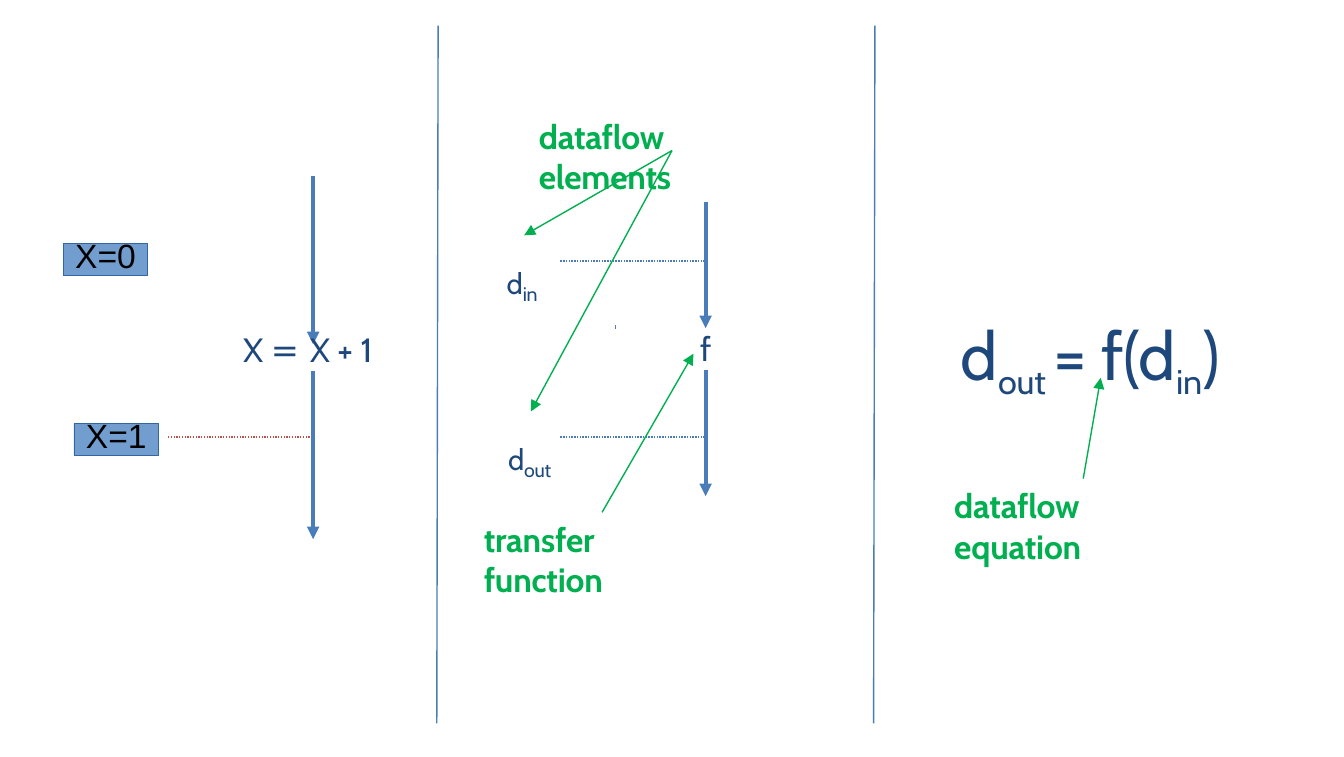
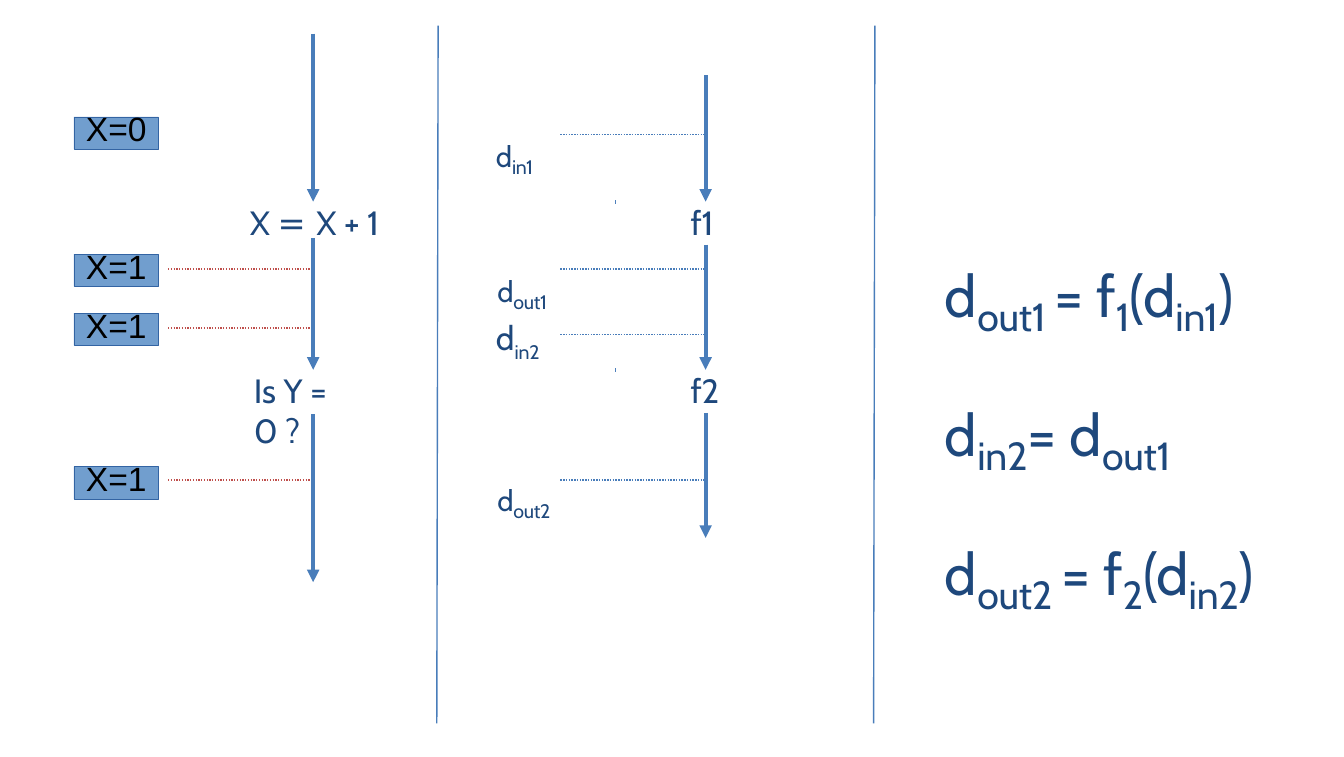
from itertools import cycle
from lxml.etree import SubElement
from pptx import Presentation
from pptx.dml.color import RGBColor
from pptx.enum.dml import MSO_LINE
from pptx.enum.shapes import MSO_CONNECTOR, MSO_SHAPE
from pptx.enum.text import MSO_ANCHOR, MSO_AUTO_SIZE, PP_ALIGN
from pptx.oxml.ns import qn
from pptx.util import Inches, Pt

NAVY = RGBColor(0x1E, 0x48, 0x7C)
BLUE = RGBColor(0x49, 0x7D, 0xBA)
TICK_BLUE = RGBColor(0x4E, 0x80, 0xBC)
GREEN = RGBColor(0x00, 0xAF, 0x4F)
RED = RGBColor(0xBF, 0x4F, 0x4C)
STATE_FILL = RGBColor(0x71, 0x9E, 0xCE)
STATE_LINE = RGBColor(0x33, 0x64, 0xA3)
BLACK = RGBColor(0, 0, 0)

CODE_X, FLOW_X = 2.33, 5.25
CODE_DOTS_X, FLOW_DOTS_X = 1.25, 4.17
TICK_X = 4.58
DIVIDERS = [6.5, 3.25]
STATE_SIZE = (0.63, 0.24)
LINE_HEIGHT = 0.33

LABEL = ((27, 14), (10.5, 0))
EQUATION = ((36, 0), (31.5, -24))
SYSTEM = ((54, 14), (21, 0))
PLAIN = ((18, 0),)
SUBSCRIPT = ((10.5, 0),)

INCREMENT = [("X ", "Cabin"), ("= ", "DejaVu Sans"), ("X + 1", "Cabin")]
INCREMENT_WIDTH = 1.05
TEST = [("Is Y = 0 ?", "Cabin")]

SLIDES = [
    {
        "code": [(1.8, 2.44, INCREMENT_WIDTH, INCREMENT)],
        "code_arrows": [(1.31, 2.56), (2.76, 4.01)],
        "code_dots": [3.25],
        "flow_arrows": [(1.5, 2.44), (2.75, 3.69)],
        "flow_dots": [1.94, 3.25],
        "ticks": [2.42],
        "formulas": [
            (5.2, 2.43, 0.11, 0.01, PLAIN, [["f"]]),
            (3.73, 1.86, 0.33, 0.04, LABEL, [["d", "in"]]),
            (3.74, 3.17, 0.42, 0.04, LABEL, [["d", "out"]]),
            (7.11, 2.32, 2.16, 0.04, EQUATION, [["d", "out ", "= f(d", "in", ")"]]),
        ],
        "notes": [
            (4, 0.85, 1.97, "dataflow elements"),
            (3.59, 3.85, 1.76, "transfer function"),
            (7.09, 3.6, 1.93, "dataflow equation"),
        ],
        "pointers": [
            (5, 1.12, 3.9, 1.75),
            (5, 1.12, 3.95, 3.06),
            (4.48, 3.81, 5.16, 2.63),
            (8.06, 3.56, 8.19, 2.81),
        ],
        "states": [(0.47, 1.81, "X=0"), (0.55, 3.15, "X=1")],
    },
    {
        "code": [(1.85, 1.49, INCREMENT_WIDTH, INCREMENT), (1.88, 2.74, 0.9, TEST)],
        "code_arrows": [(0.25, 1.5), (1.77, 2.75), (3.08, 4.33)],
        "code_dots": [2, 2.44, 3.57],
        "flow_arrows": [(0.56, 1.5), (1.82, 2.75), (3.07, 4)],
        "flow_dots": [1, 2, 2.49, 3.57],
        "ticks": [1.49, 2.74],
        "formulas": [
            (5.13, 1.49, 0.23, 0.01, PLAIN, [["f1"]]),
            (5.13, 2.74, 0.23, 0.01, PLAIN, [["f2"]]),
            (3.65, 0.91, 0.4, 0.04, LABEL, [["d", "in1"]]),
            (3.66, 1.92, 0.49, 0.04, LABEL, [["d", "out1"]]),
            (3.68, 2.35, 0.2, 0.01, PLAIN, [["d"]]),
            (3.82, 2.52, 0.25, 0.01, SUBSCRIPT, [["in2"]]),
            (3.66, 3.47, 0.49, 0.04, LABEL, [["d", "out2"]]),
            (6.99, 1.57, 2.6, 0.04, SYSTEM, [
                ["d", "out1 ", "= f", "1", "(d", "in1", ")"],
                ["d", "in2", "= d", "out1"],
                ["d", "out2 ", "= f", "2", "(d", "in2", ")"],
            ]),
        ],
        "notes": [],
        "pointers": [],
        "states": [(0.55, y, text) for y, text in
                   [(0.87, "X=0"), (1.89, "X=1"), (2.33, "X=1"), (3.47, "X=1")]],
    },
]


def add_line(slide, start, end, color, width, dotted=False, arrow=False):
    line = slide.shapes.add_connector(
        MSO_CONNECTOR.STRAIGHT, *(Inches(v) for v in (*start, *end)))
    line.line.color.rgb = color
    line.line.width = Pt(width)
    if dotted:
        line.line.dash_style = MSO_LINE.ROUND_DOT
    properties = line._element.spPr
    if arrow:
        SubElement(properties.find(qn("a:ln")), qn("a:tailEnd"), type="triangle")
    SubElement(properties, qn("a:effectLst"))


def set_frame(shape, left=0, top=0):
    frame = shape.text_frame
    frame.word_wrap = True
    frame.auto_size = MSO_AUTO_SIZE.SHAPE_TO_FIT_TEXT
    frame.vertical_anchor = MSO_ANCHOR.TOP
    frame.margin_left, frame.margin_top = Inches(left), Inches(top)
    frame.margin_right = frame.margin_bottom = 0
    return frame


def add_textbox(slide, x, y, width, height=LINE_HEIGHT, left=0.01):
    box = slide.shapes.add_textbox(Inches(x), Inches(y), Inches(width), Inches(height))
    return set_frame(box, left, 0.01)


def add_run(paragraph, text, color, size=18, font="Cabin", bold=False, baseline=0, tracking=0):
    run = paragraph.add_run()
    run.text = text
    run.font.name = font
    run.font.size = Pt(size)
    run.font.bold = bold
    run.font.color.rgb = color
    properties = run._r.get_or_add_rPr()
    if baseline:
        properties.set("baseline", str(baseline * 1000))
    if tracking:
        properties.set("spc", str(tracking))


def add_formula(slide, x, y, width, left, style, lines):
    height = 2.09 if style is SYSTEM else 0.63 if style is EQUATION else LINE_HEIGHT
    frame = add_textbox(slide, x, y, width, height, left)
    for index, parts in enumerate(lines):
        paragraph = frame.add_paragraph() if index else frame.paragraphs[0]
        if style is SYSTEM:
            paragraph.line_spacing = 1.15
        for text, (size, baseline) in zip(parts, cycle(style)):
            add_run(paragraph, text, NAVY, size, baseline=baseline, tracking=-10)


def add_state(slide, x, y, text):
    state = slide.shapes.add_shape(
        MSO_SHAPE.RECTANGLE, *(Inches(v) for v in (x, y, *STATE_SIZE)))
    state.shadow.inherit = False
    state.fill.solid()
    state.fill.fore_color.rgb = STATE_FILL
    state.line.color.rgb = STATE_LINE
    state.line.width = Pt(0.25)
    paragraph = set_frame(state, left=0.09).paragraphs[0]
    paragraph.alignment = PP_ALIGN.LEFT
    paragraph.line_spacing = Pt(17)
    add_run(paragraph, text, BLACK, font="Arial")


def build_slide(slide, content):
    for x in DIVIDERS:
        add_line(slide, (x + 0.01, 0.19), (x, 5.38), BLUE, 0.75)
    for part, x, start_x, color in [("code", CODE_X, CODE_DOTS_X, RED),
                                    ("flow", FLOW_X, FLOW_DOTS_X, BLUE)]:
        for y in content[part + "_dots"]:
            add_line(slide, (start_x, y), (x, y), color, 0.75, dotted=True)
        for top, bottom in content[part + "_arrows"]:
            add_line(slide, (x, top), (x, bottom), BLUE, 2.25, arrow=True)
    for y in content["ticks"]:
        add_line(slide, (TICK_X, y), (TICK_X, y + 0.03), TICK_BLUE, 0.25)
    for x, y, width, runs in content["code"]:
        paragraph = add_textbox(slide, x, y, width).paragraphs[0]
        for text, font in runs:
            add_run(paragraph, text, NAVY, font=font)
    for formula in content["formulas"]:
        add_formula(slide, *formula)
    for x, y, width, text in content["notes"]:
        paragraph = add_textbox(slide, x, y, width).paragraphs[0]
        add_run(paragraph, text, GREEN, bold=True, tracking=-10)
    for x1, y1, x2, y2 in content["pointers"]:
        add_line(slide, (x1, y1), (x2, y2), GREEN, 0.75, arrow=True)
    for state in content["states"]:
        add_state(slide, *state)


def main():
    deck = Presentation()
    deck.slide_width, deck.slide_height = Inches(10), Inches(5.63)
    for content in SLIDES:
        build_slide(deck.slides.add_slide(deck.slide_layouts[6]), content)
    deck.save("out.pptx")


if __name__ == "__main__":
    main()
